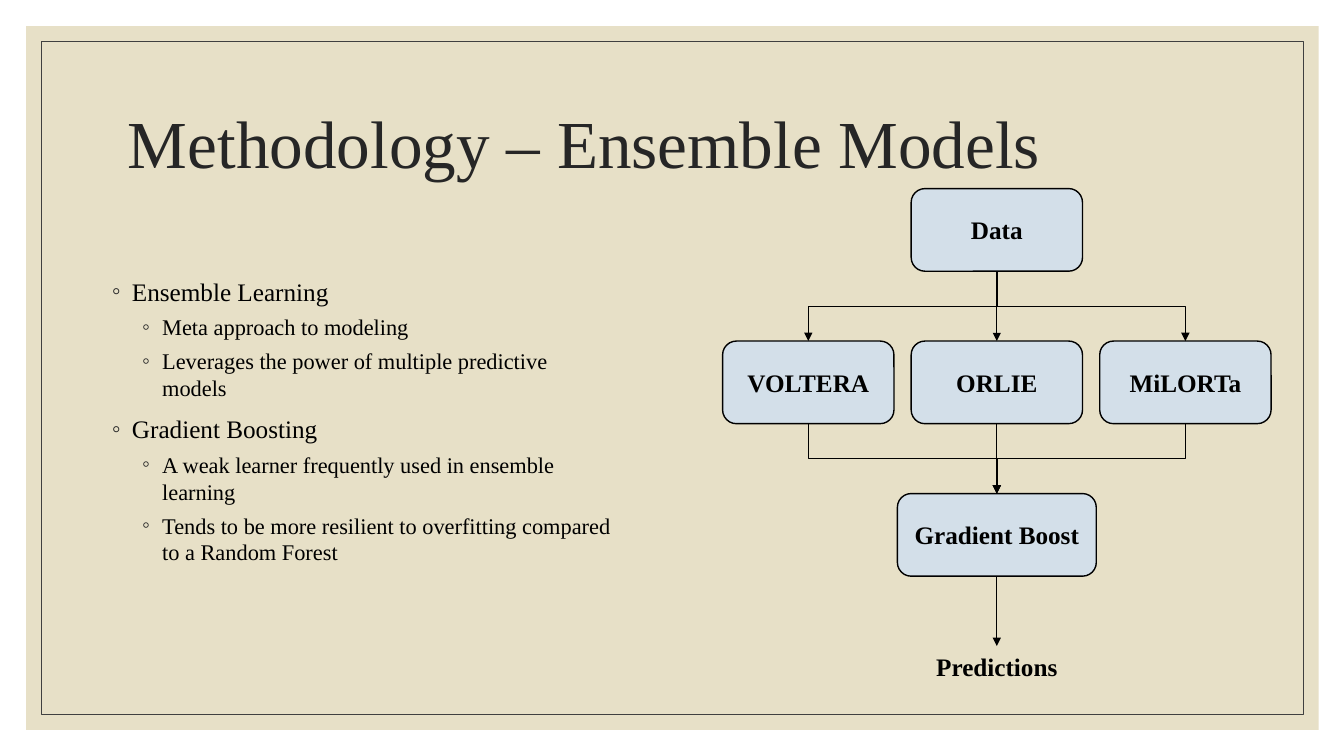
from dataclasses import dataclass

from lxml import etree
from pptx import Presentation
from pptx import util as u
from pptx.dml import color
from pptx.enum import shapes, text
from pptx.oxml import ns

WIDE, HIGH = 13.33, 7.5
FONT = "Times New Roman"
INK, DARK, SAND, BLUE = "000000", "262626", "E7E0C7", "D3DFE9"
MID, STEP = 74.17, 14.03
TOP, DROP = 24.95, 20.17
BOX = 10.93


@dataclass
class Node:
    label: str
    col: int
    row: int
    wide: float = 12.75
    high: float = BOX
    plain: bool = False

    @property
    def mid(self) -> float:
        return MID + self.col * STEP

    @property
    def top(self) -> float:
        return TOP + self.row * DROP

    @property
    def area(self) -> tuple:
        return self.mid - self.wide / 2, self.top, self.wide, self.high


@dataclass
class Item:
    label: str
    level: int = 0


DATA = Node("Data", 0, 0)
MODELS = [Node(name, col, 1) for col, name in enumerate(("VOLTERA", "ORLIE", "MiLORTa"), -1)]
BOOST = Node("Gradient Boost", 0, 2, wide=14.8)
RESULT = Node("Predictions", 0, 3, wide=10.7, high=5.3, plain=True)
LINKS = (
    [(DATA, model) for model in MODELS]
    + [(model, BOOST) for model in MODELS]
    + [(BOOST, RESULT)]
)
ITEMS = [
    Item("Ensemble Learning"),
    Item("Meta approach to modeling", 1),
    Item("Leverages the power of multiple predictive models", 1),
    Item("Gradient Boosting"),
    Item("A weak learner frequently used in ensemble learning", 1),
    Item("Tends to be more resilient to overfitting compared to a Random Forest", 1),
]


def tint(code: str) -> color.RGBColor:
    return color.RGBColor.from_string(code)


def place(x: float, y: float) -> tuple:
    return u.Inches(x * WIDE / 100), u.Inches(y * HIGH / 100)


def span(area: tuple) -> tuple:
    return place(*area[:2]) + place(*area[2:])


def write(para, words: str, size: int = 18, ink: str = INK, bold: bool = False,
          align=text.PP_ALIGN.LEFT) -> None:
    para.alignment = align
    run = para.add_run()
    run.text = words
    run.font.name = FONT
    run.font.size = u.Pt(size)
    run.font.bold = bold
    run.font.color.rgb = tint(ink)


def panel(slide, kind, area: tuple, fill: str = "", line: str = "", width: float = 1):
    shape = slide.shapes.add_shape(kind, *span(area))
    shape.shadow.inherit = False
    if fill:
        shape.fill.solid()
        shape.fill.fore_color.rgb = tint(fill)
    else:
        shape.fill.background()
    if line:
        shape.line.color.rgb = tint(line)
        shape.line.width = u.Pt(width)
    else:
        shape.line.fill.background()
    return shape


def label(slide, area: tuple, anchor=text.MSO_ANCHOR.TOP):
    frame = slide.shapes.add_textbox(*span(area)).text_frame
    frame.word_wrap = True
    frame.vertical_anchor = anchor
    return frame


def draw(slide, node: Node) -> None:
    if node.plain:
        frame = label(slide, node.area)
    else:
        kind = shapes.MSO_SHAPE.ROUNDED_RECTANGLE
        frame = panel(slide, kind, node.area, BLUE, INK).text_frame
        frame.word_wrap = True
        frame.vertical_anchor = text.MSO_ANCHOR.MIDDLE
    write(frame.paragraphs[0], node.label, bold=True, align=text.PP_ALIGN.CENTER)


def link(slide, start: Node, end: Node) -> None:
    x1, y1 = place(start.mid, start.top + start.high)
    x2, y2 = place(end.mid, end.top)
    kind = shapes.MSO_CONNECTOR.STRAIGHT
    turn = 0
    if start.col != end.col:
        kind = shapes.MSO_CONNECTOR.ELBOW
        side = 1 if x2 < x1 else -1
        turn = 90 if side == 1 else 270
        half, reach = side * (y2 - y1) // 2, abs(x2 - x1) // 2
        x, y = (x1 + x2) // 2, (y1 + y2) // 2
        x1, y1, x2, y2 = x - half, y - reach, x + half, y + reach
    wire = slide.shapes.add_connector(kind, x1, y1, x2, y2)
    wire.line.color.rgb = tint(INK)
    wire.line.width = u.Pt(0.5)
    props = wire.element.spPr
    if turn:
        props.find(ns.qn("a:xfrm")).set("rot", str(turn * 60000))
    etree.SubElement(props.find(ns.qn("a:ln")), ns.qn("a:tailEnd"), type="triangle")
    etree.SubElement(props, ns.qn("a:effectLst"))


def bullet(para, item: Item) -> None:
    para.level = item.level
    para.space_before = u.Pt(5 if item.level else 9)
    props = para._p.get_or_add_pPr()
    props.set("marL", str(u.Inches(0.5 if item.level else 0.2)))
    props.set("indent", str(u.Inches(-0.2)))
    hue = etree.SubElement(props, ns.qn("a:buClr"))
    etree.SubElement(hue, ns.qn("a:srgbClr"), val=DARK)
    etree.SubElement(props, ns.qn("a:buFont"), typeface=FONT)
    etree.SubElement(props, ns.qn("a:buChar"), char="◦")
    write(para, item.label, size=16 if item.level else 18)


def main() -> None:
    deck = Presentation()
    deck.slide_width, deck.slide_height = place(100, 100)
    slide = deck.slides.add_slide(deck.slide_layouts[6])

    rect = shapes.MSO_SHAPE.RECTANGLE
    panel(slide, rect, (1.95, 3.47, 96.17, 93.07), fill=SAND)
    panel(slide, rect, (3.08, 5.47, 93.92, 89.07), line="404040", width=0.5)

    title = label(slide, (8.78, 9.4, 82.5, 20), text.MSO_ANCHOR.MIDDLE).paragraphs[0]
    title.line_spacing = 0.9
    write(title, "Methodology – Ensemble Models", size=48, ink=DARK)

    body = label(slide, (7.58, 35.9, 39, 47.6))
    for spot, item in enumerate(ITEMS):
        bullet(body.add_paragraph() if spot else body.paragraphs[0], item)

    for node in (DATA, *MODELS, BOOST, RESULT):
        draw(slide, node)
    for start, end in LINKS:
        link(slide, start, end)
    deck.save("out.pptx")


if __name__ == "__main__":
    main()
